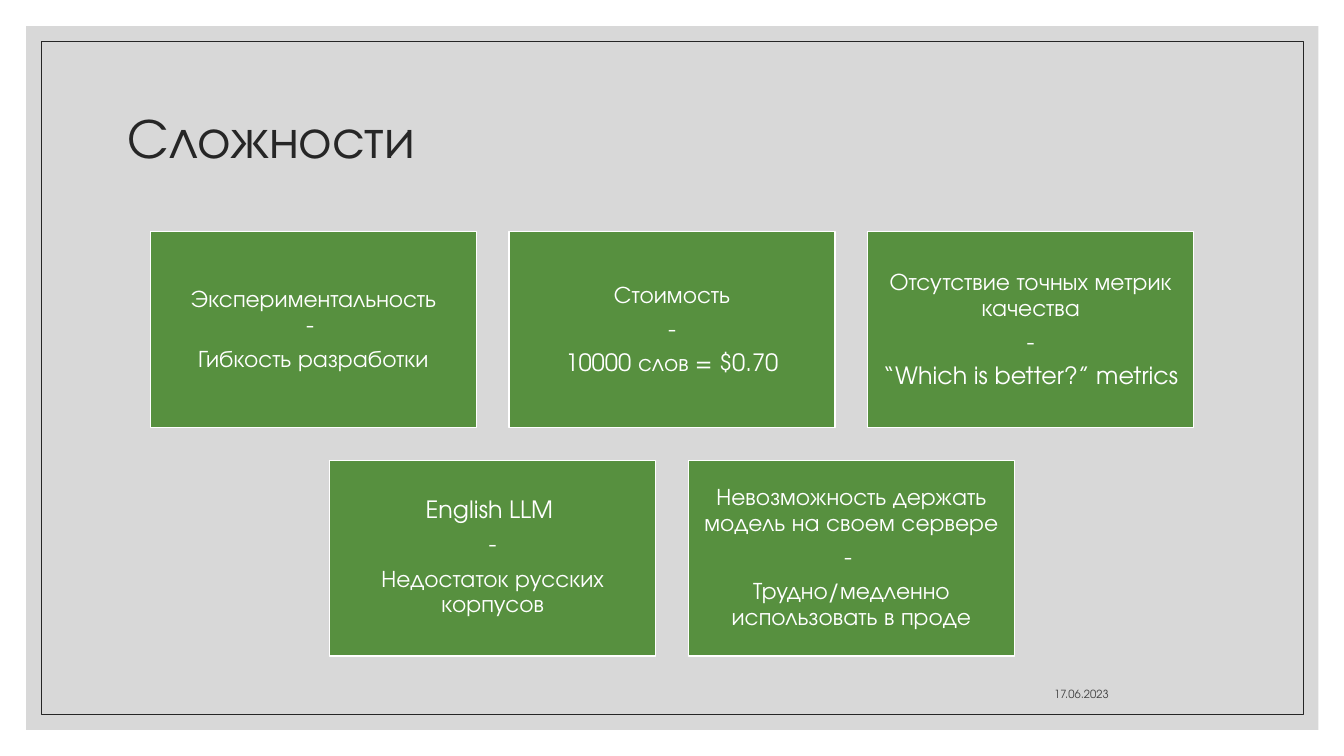
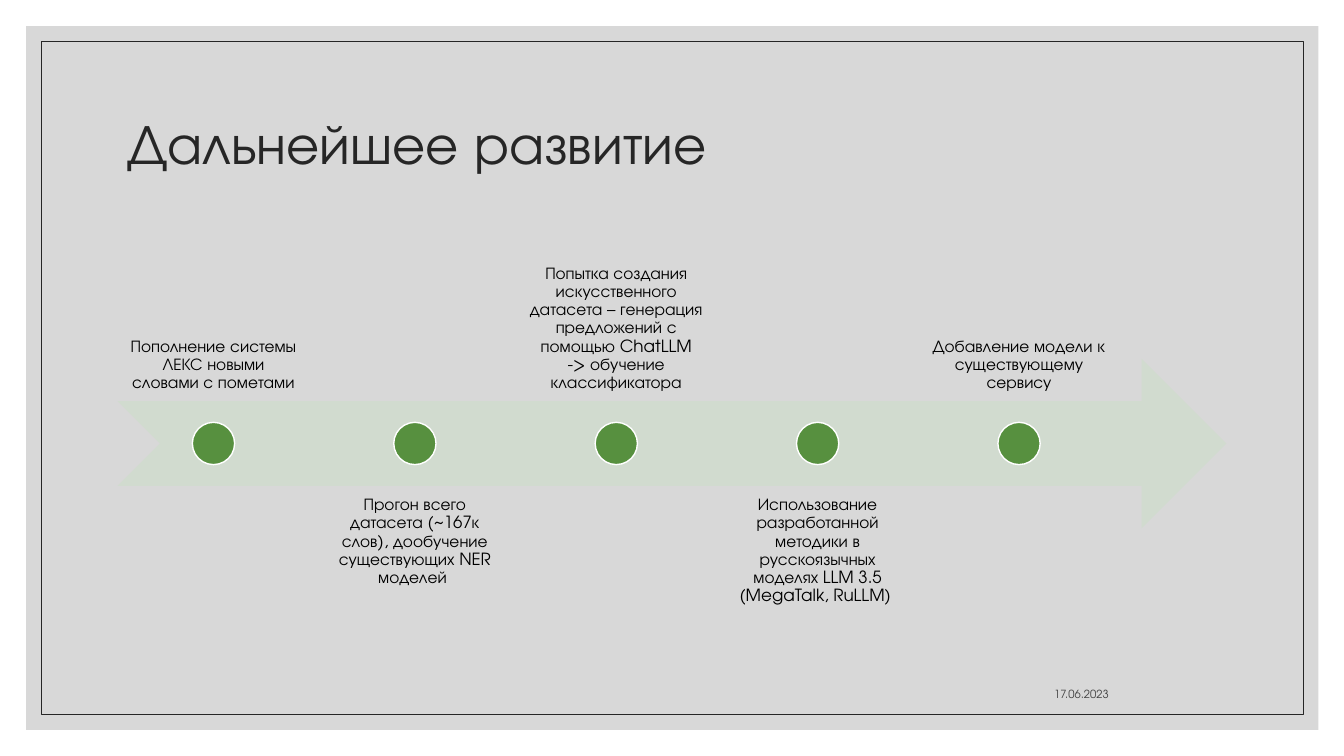
from lxml import etree
from pptx import Presentation
from pptx.dml.color import RGBColor
from pptx.enum import shapes, text
from pptx.oxml.ns import qn
from pptx.util import Pt

# Shared look
hue = RGBColor.from_string
FONT = "TeX Gyre Adventor"
GREEN, WHITE, DARK = "57903F", "FFFFFF", "262626"
KIND, ALIGN, SIDE = shapes.MSO_SHAPE, text.PP_ALIGN, text.MSO_ANCHOR
LEFT, WIDE, MID = 84, 792, 480

TITLE = dict(size=40, color=DARK, align=ALIGN.LEFT, anchor=SIDE.MIDDLE,
             pad=(7.2, 3.6), lead=0.9, after=0)
DATE = dict(size=8, color="404040", align=ALIGN.RIGHT, anchor=SIDE.BOTTOM,
            pad=(7.2, 3.6), lead=1.0, after=0)
CARD = dict(size=17, color=WHITE, align=ALIGN.CENTER, anchor=SIDE.MIDDLE,
            pad=(5.1, 5.1), lead=0.9, after=6)
STEP = dict(size=12, color="000000", align=ALIGN.CENTER,
            pad=(6.7, 6.7), lead=0.9, after=0)


def draw(slide, kind, box, fill=None, line=None, width=1):
    shape = slide.shapes.add_shape(kind, *map(Pt, box))
    shape.shadow.inherit = False
    for part, tone in ((shape.fill, fill), (shape.line.fill, line)):
        if tone:
            part.solid()
            part.fore_color.rgb = hue(tone)
        else:
            part.background()
    if line:
        shape.line.width = Pt(width)
    return shape


def write(shape, lines, size, color, align, anchor, pad, lead, after):
    frame = shape.text_frame
    side, edge = map(Pt, pad)
    form = dict(word_wrap=True, vertical_anchor=anchor, margin_left=side,
                margin_right=side, margin_top=edge, margin_bottom=edge)
    for name, value in form.items():
        setattr(frame, name, value)
    frame.text = "\n".join(lines)
    for para in frame.paragraphs:
        form = dict(alignment=align, line_spacing=lead, space_after=Pt(after))
        for name, value in form.items():
            setattr(para, name, value)
        for run in para.runs:
            run.font.name, run.font.size = FONT, Pt(size)
            run.font.color.rgb = hue(color)


deck = Presentation()
deck.slide_width, deck.slide_height = Pt(960), Pt(540)

# Panel, frame, title and date of each slide
pages = []
for head, tall in (("Сложности", 100), ("Дальнейшее развитие", 108)):
    page = deck.slides.add_slide(deck.slide_layouts[6])
    panel = draw(page, KIND.RECTANGLE, (18.7, 18.7, 923, 502.6), fill="BFBFBF")
    tint = next(panel._element.iter(qn("a:srgbClr")))
    etree.SubElement(tint, qn("a:alpha")).set("val", "60000")
    draw(page, KIND.RECTANGLE, (29.5, 29.5, 901.4, 481), line=DARK, width=0.5)
    for words, box, style in ((head, (LEFT, 50.4, WIDE, tall), TITLE),
                              ("17.06.2023", (571.7, 475.2, 227.5, 28.8), DATE)):
        label = page.shapes.add_textbox(*map(Pt, box))
        write(label, [words], **style)
    pages.append(page)
issues, plans = pages

# Cards in centred rows
rows = [
    [["Экспериментальность\v- ", "Гибкость разработки"],
     ["Стоимость", "-", "10000 слов = $0.70"],
     ["Отсутствие точных метрик качества", "-", "“Which is better?” metrics"]],
    [["English LLM ", "-", "Недостаток русских корпусов"],
     ["Невозможность держать модель на своем сервере", "- ",
      "Трудно/медленно использовать в проде"]],
]
wide, tall, gap = 232.8, 139.8, 23.4
for r, row in enumerate(rows):
    start = MID - (len(row) * (wide + gap) - gap) / 2
    for c, lines in enumerate(row):
        box = (start + c * (wide + gap), 165.6 + r * (tall + gap), wide, tall)
        write(draw(issues, KIND.RECTANGLE, box, GREEN, WHITE), lines, **CARD)

# Arrow with steps above and below in turn
steps = [
    "Пополнение системы ЛЕКС новыми словами с пометами",
    "Прогон всего датасета (~167к слов), дообучение существующих NER моделей ",
    "Попытка создания искусственного датасета – генерация предложений с "
    "помощью ChatLLM -> обучение классификатора",
    "Использование разработанной методики в русскоязычных моделях LLM 3.5 "
    "(MegaTalk, RuLLM) ",
    "Добавление модели к существующему сервису",
]
axis, tall, wide, pitch, dot = 316.8, 121, 137, 143.85, 30.2
draw(plans, KIND.NOTCHED_RIGHT_ARROW, (LEFT, axis - tall / 2, WIDE, tall), "D1DBCF")
for i, words in enumerate(steps):
    x = LEFT + i * pitch
    top, side = ((165.6, SIDE.BOTTOM), (347.8, SIDE.TOP))[i % 2]
    label = plans.shapes.add_textbox(*map(Pt, (x, top, wide, tall)))
    write(label, [words], anchor=side, **STEP)
    draw(plans, KIND.OVAL, (x + (wide - dot) / 2, axis - dot / 2, dot, dot),
         GREEN, WHITE)

deck.save("out.pptx")
